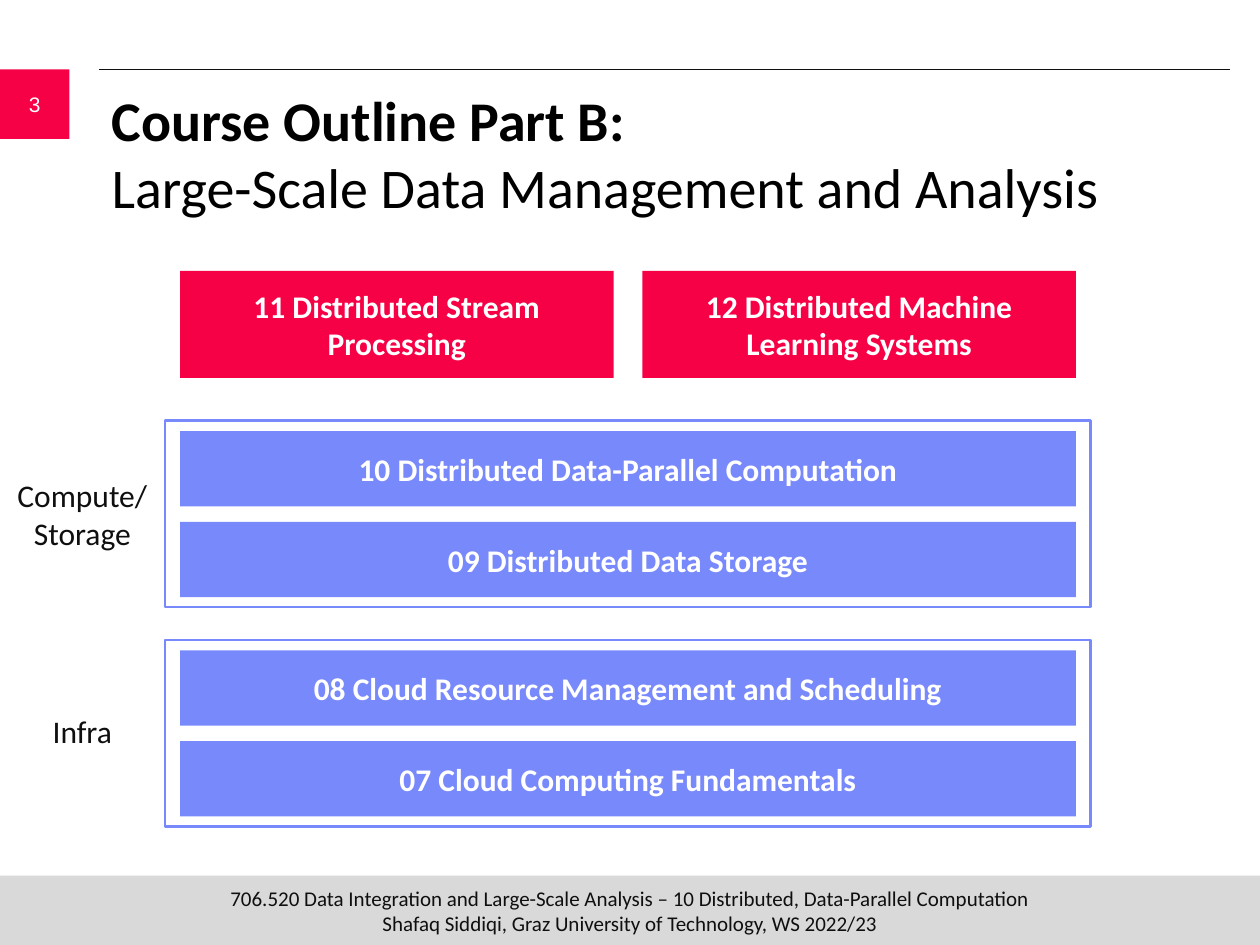
from pptx import Presentation
from pptx.dml.color import RGBColor
from pptx.enum.shapes import MSO_CONNECTOR, MSO_SHAPE
from pptx.enum.text import MSO_ANCHOR, PP_ALIGN
from pptx.oxml.ns import qn
from pptx.util import Cm, Pt
from lxml.etree import SubElement

RED, BLUE, GREY = "F70146", "7889FB", "D9D9D9"
INK, BLACK, WHITE = "0F0F0F", "000000", "FFFFFF"

SLIDE_W, SLIDE_H = 25.4, 19.05
BADGE = 1.4
BAR_X, BAR_W, BAR_H, BAR_STEP = 3.63, 18.06, 1.52, 1.83
FRAME_H, PAD_X, PAD_Y = 3.76, 0.3, 0.21
TOPIC_W, TOPIC_H = 8.74, 2.16


def color(hex_string):
    return RGBColor.from_string(hex_string)


def write(sp, text, size=18, font="Calibri", fill=INK, bold=False,
          align=PP_ALIGN.CENTER, anchor=MSO_ANCHOR.MIDDLE, insets=(0.25, 0.13)):
    """Fill a shape with one paragraph; bold may be a list with one flag per line."""
    tf = sp.text_frame
    tf.word_wrap = True
    tf.vertical_anchor = anchor
    tf.margin_left = tf.margin_right = Cm(insets[0])
    tf.margin_top = tf.margin_bottom = Cm(insets[1])
    p = tf.paragraphs[0]
    p.alignment = align
    p.font.size = Pt(size)
    lines = text.split("\n")
    flags = bold if isinstance(bold, list) else [bold] * len(lines)
    for i, (line, flag) in enumerate(zip(lines, flags)):
        if i:
            p.add_line_break()
        r = p.add_run()
        r.text = line
        r.font.name, r.font.size, r.font.bold = font, Pt(size), flag
        r.font.color.rgb = color(fill)


def add_box(s, x, y, w, h, fill=None, line=None):
    sp = s.shapes.add_shape(MSO_SHAPE.RECTANGLE, Cm(x), Cm(y), Cm(w), Cm(h))
    sp.shadow.inherit = False
    if fill:
        sp.fill.solid()
        sp.fill.fore_color.rgb = color(fill)
    else:
        sp.fill.background()
    if line:
        sp.line.color.rgb = color(line)
        sp.line.width = Pt(1.5)
    else:
        sp.line.fill.background()
    return sp


def add_label(s, text, x, y, w, h, **fmt):
    write(s.shapes.add_textbox(Cm(x), Cm(y), Cm(w), Cm(h)), text, **fmt)


def add_rule(s, x1, x2, y):
    line = s.shapes.add_connector(MSO_CONNECTOR.STRAIGHT, Cm(x1), Cm(y), Cm(x2), Cm(y))
    line.line.color.rgb = color(INK)
    line.line.width = Pt(0.5)
    SubElement(line._element.spPr, qn("a:effectLst"))


def add_layer(s, y, bars):
    """Draw a frame with its stacked bars."""
    for i, text in enumerate(bars):
        bar = add_box(s, BAR_X, y + PAD_Y + i * BAR_STEP, BAR_W, BAR_H, fill=BLUE)
        write(bar, text, fill=WHITE, bold=True)
    add_box(s, BAR_X - PAD_X, y, BAR_W + 2 * PAD_X, FRAME_H, line=BLUE)


def add_page_frame(s):
    footer = add_box(s, 0, SLIDE_H - BADGE, SLIDE_W, BADGE, fill=GREY)
    write(footer, "706.520 Data Integration and Large-Scale Analysis – "
                  "10 Distributed, Data-Parallel Computation\n"
                  "Shafaq Siddiqi, Graz University of Technology, WS 2022/23",
          size=12, insets=(0, 0))
    add_rule(s, 2, 24.8, BADGE)
    badge = add_box(s, 0, BADGE, BADGE, BADGE, fill=RED)
    write(badge, "3", size=12, font="Arial", fill=WHITE)


def main():
    prs = Presentation()
    prs.slide_width, prs.slide_height = Cm(SLIDE_W), Cm(SLIDE_H)
    s = prs.slides.add_slide(prs.slide_layouts[6])

    add_page_frame(s)
    add_label(s, "Course Outline Part B:\nLarge-Scale Data Management and Analysis",
              2, 1.6, 22.76, 2.11, size=32, fill=BLACK, bold=[True, False],
              align=PP_ALIGN.LEFT, anchor=MSO_ANCHOR.TOP)

    topics = ["11 Distributed Stream\nProcessing", "12 Distributed Machine Learning Systems"]
    for i, text in enumerate(topics):
        topic = add_box(s, BAR_X + i * (BAR_W - TOPIC_W), 5.46, TOPIC_W, TOPIC_H, fill=RED)
        write(topic, text, fill=WHITE, bold=True)

    add_layer(s, 8.48, ["10 Distributed Data-Parallel Computation",
                        "09 Distributed Data Storage"])
    add_layer(s, 12.9, ["08 Cloud Resource Management and Scheduling",
                        "07 Cloud Computing Fundamentals"])

    for text, y, h in [("Compute/\nStorage", 9.47, 1.8), ("Infra", 14.22, 1.02)]:
        add_label(s, text, 0.06, y, 3.2, h, anchor=MSO_ANCHOR.TOP, insets=(0, 0.13))

    prs.save("out.pptx")


if __name__ == "__main__":
    main()
